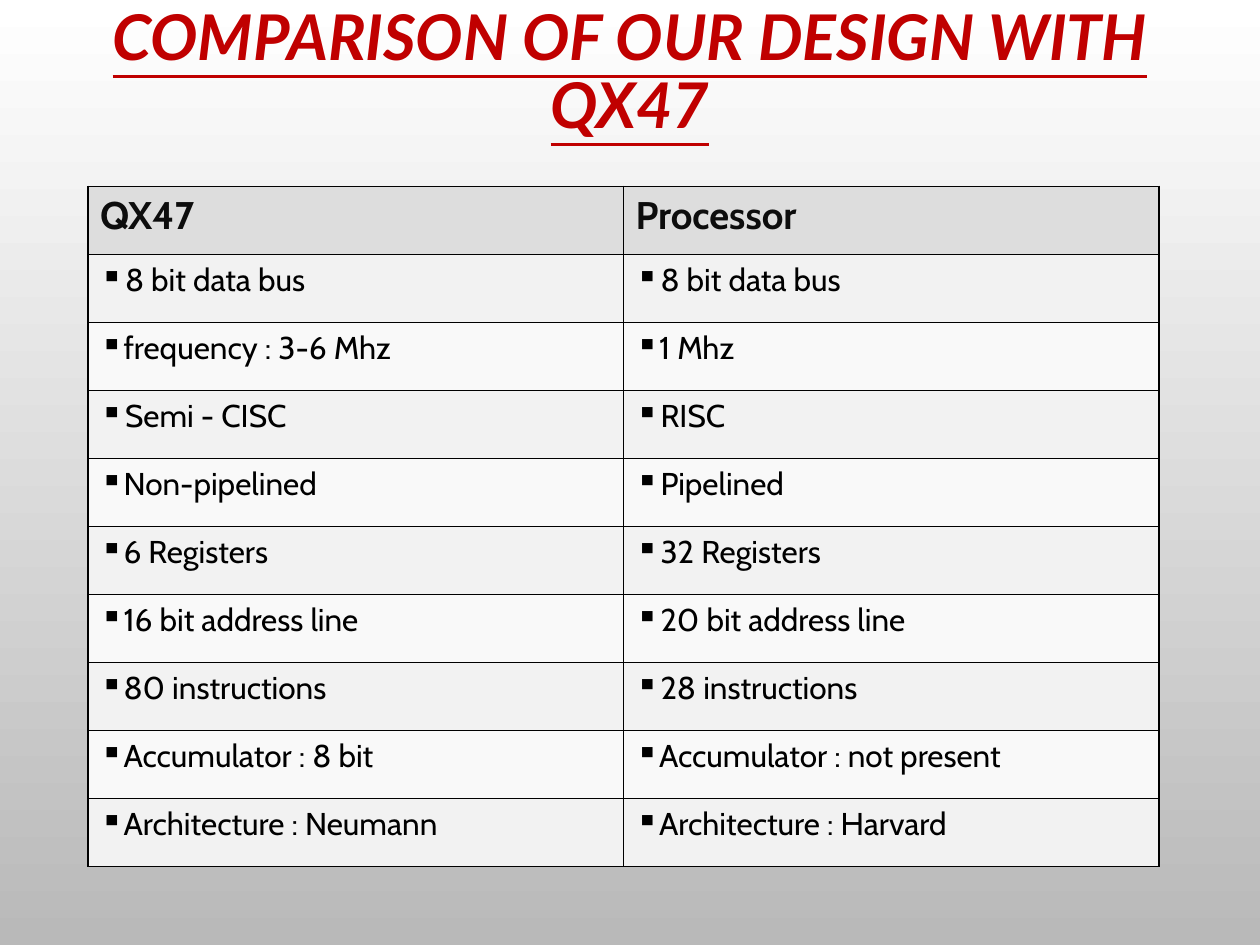
"""Build a slide that compares the QX47 with our processor design in a table."""
from dataclasses import dataclass

import lxml.etree
import pptx
import pptx.dml.color
import pptx.enum.text
import pptx.oxml.ns
import pptx.util

Pt = pptx.util.Pt
qn = pptx.oxml.ns.qn
rgb = pptx.dml.color.RGBColor.from_string


@dataclass(frozen=True)
class Theme:
    title_font: str = "Lato"
    body_font: str = "Cabin"
    bullet_font: str = "OpenSymbol"
    title_size: int = 36
    header_size: int = 22
    body_size: int = 18
    background_top: str = "FFFFFF"
    background_bottom: str = "B9B9B9"
    title_color: str = "C00000"
    header_color: str = "0D0D0D"
    body_color: str = "000000"
    header_fill: str = "DDDDDD"
    row_fills: tuple = ("F9F9F9", "F2F2F2")
    border: str = "000000"


theme = Theme()
TIGHT, NEAR, WIDE = 6, 10.3, 14.3
RIVAL = "QX47"
HEADINGS = (RIVAL, "Processor")
FEATURES = [
    (("8 bit data bus", WIDE), ("8 bit data bus", WIDE)),
    (("frequency : 3-6 Mhz", NEAR), ("1 Mhz", NEAR)),
    (("Semi - CISC", WIDE), ("RISC", WIDE)),
    (("Non-pipelined", NEAR), ("Pipelined", WIDE)),
    (("6 Registers", NEAR), ("32 Registers", WIDE)),
    (("16 bit address line", NEAR), ("20 bit address line", WIDE)),
    (("80 instructions", NEAR), ("28 instructions", WIDE)),
    (("Accumulator : 8 bit", NEAR), ("Accumulator : not present", NEAR)),
    (("Architecture : Neumann", TIGHT), ("Architecture : Harvard", TIGHT)),
]


def add_run(paragraph, text, font_name, size, color, bold):
    run = paragraph.add_run()
    run.text = text
    run.font.name = font_name
    run.font.size = Pt(size)
    run.font.color.rgb = rgb(color)
    run.font.bold = bold
    return run


def fill_cell(cell, fill, text, size, color, bold):
    cell.margin_left = cell.margin_right = Pt(6.75)
    cell.margin_top = cell.margin_bottom = Pt(3.6)
    properties = cell._tc.get_or_add_tcPr()
    for side in ("a:lnL", "a:lnR", "a:lnT", "a:lnB"):
        line = lxml.etree.SubElement(properties, qn(side), w=str(Pt(1)))
        solid = lxml.etree.SubElement(line, qn("a:solidFill"))
        lxml.etree.SubElement(solid, qn("a:srgbClr"), val=theme.border)
    cell.fill.solid()
    cell.fill.fore_color.rgb = rgb(fill)
    paragraph = cell.text_frame.paragraphs[0]
    add_run(paragraph, text, theme.body_font, size, color, bold)
    return paragraph


presentation = pptx.Presentation()
presentation.slide_width = Pt(720)
presentation.slide_height = Pt(540)
slide = presentation.slides.add_slide(presentation.slide_layouts[5])

backdrop = slide.background.fill
backdrop.gradient()
backdrop.gradient_angle = 270
for stop, color in zip(backdrop.gradient_stops, (theme.background_top, theme.background_bottom)):
    stop.color.rgb = rgb(color)

title = slide.shapes.title
title.left, title.top, title.width, title.height = Pt(54), Pt(-16.56), Pt(612), Pt(118.08)
title.text_frame.word_wrap = True
title.text_frame.auto_size = pptx.enum.text.MSO_AUTO_SIZE.NONE
title.text_frame.vertical_anchor = pptx.enum.text.MSO_ANCHOR.MIDDLE
heading = title.text_frame.paragraphs[0]
heading.alignment = pptx.enum.text.PP_ALIGN.CENTER
heading.line_spacing = 0.9
heading_run = add_run(heading, f"COMPARISON OF OUR DESIGN WITH {RIVAL}", theme.title_font,
                      theme.title_size, theme.title_color, True)
heading_run.font.italic = True
heading_run.font.underline = True

row_count = len(FEATURES) + 1
comparison = slide.shapes.add_table(row_count, len(HEADINGS), Pt(50.4), Pt(106.56),
                                    Pt(612), Pt(38.88 * row_count)).table
for row in comparison.rows:
    row.height = Pt(38.88)

for column, name in enumerate(HEADINGS):
    fill_cell(comparison.cell(0, column), theme.header_fill, name,
              theme.header_size, theme.header_color, True)

for row, features in enumerate(FEATURES, start=1):
    for column, (feature, indent) in enumerate(features):
        paragraph = fill_cell(comparison.cell(row, column), theme.row_fills[row % 2], feature,
                              theme.body_size, theme.body_color, False)
        bullet = paragraph._p.get_or_add_pPr()
        bullet.set("marL", str(Pt(indent)))
        bullet.set("indent", str(-Pt(indent)))
        lxml.etree.SubElement(bullet, qn("a:buFont"), typeface=theme.bullet_font)
        lxml.etree.SubElement(bullet, qn("a:buChar"), char="▪")

presentation.save("out.pptx")
